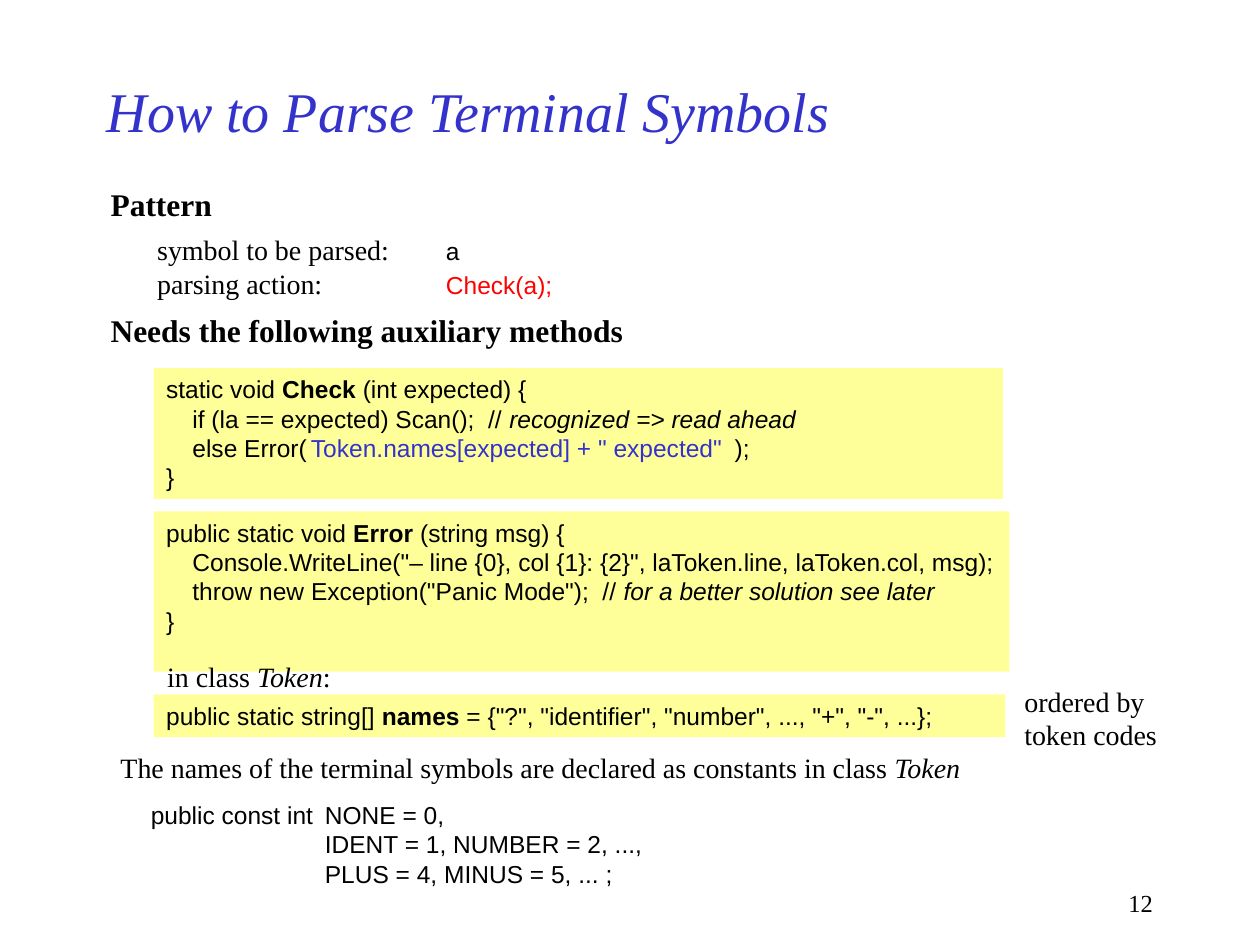
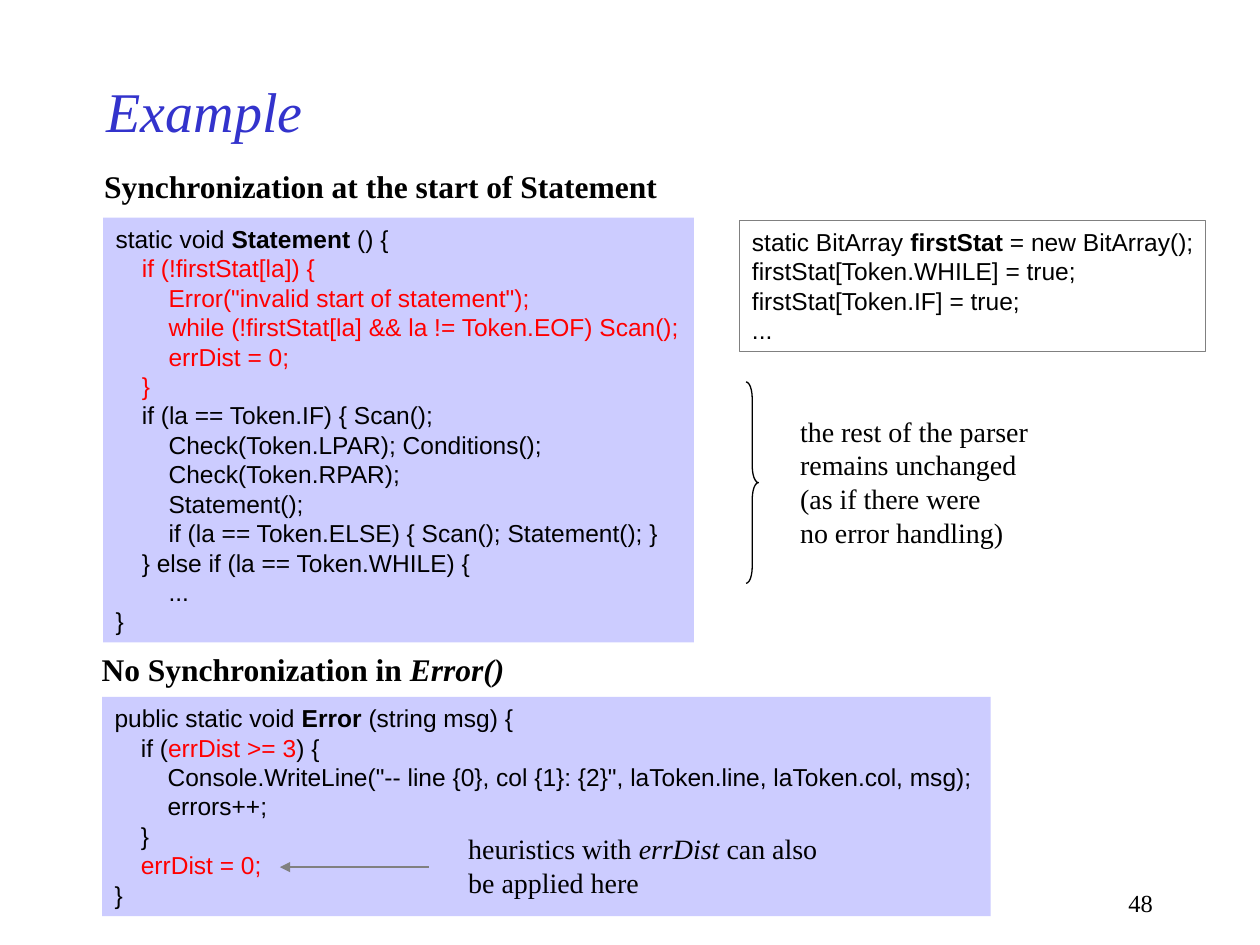
from lxml.etree import SubElement as Sub
from pptx import Presentation
from pptx.dml.color import RGBColor
from pptx.enum.shapes import MSO_CONNECTOR as Link, MSO_SHAPE as Form
from pptx.enum.text import MSO_ANCHOR as Anchor, PP_ALIGN as Align
from pptx.oxml.ns import qn
from pptx.util import Cm, Pt

SERIF, SANS = "Times New Roman", "Arial"
BLACK, BLUE, RED, GRAY = "000000", "3333CC", "FF0000", "808080"
YELLOW, LILAC = "FFFF99", "CCCCFF"
STEPS = (0.53, 1.07)


def paint(target, tone):
    """Give a font, or a fill made solid, its colour."""
    if hasattr(target, "solid"):
        target.solid()
        target = target.fore_color
    else:
        target = target.color
    target.rgb = RGBColor.from_string(tone)


def stops(para, tabs):
    """Set the left tab stops of a paragraph, given in centimetres."""
    if tabs:
        group = Sub(para._p.get_or_add_pPr(), qn("a:tabLst"))
        for tab in tabs:
            Sub(group, qn("a:tab"), pos=str(Cm(tab)), algn="l")


def write(shape, lines, size, face=SERIF, tone=BLACK, marks="", tabs=()):
    """Write lines of plain or (text, marks) pieces; marks are b, i, r (red), a (code)."""
    frame = shape.text_frame
    frame.word_wrap = True
    frame.margin_right = 0
    frame.vertical_anchor = Anchor.TOP
    frame.text = "\n".join("" for _ in lines)
    for para, line in zip(frame.paragraphs, lines):
        para.alignment = Align.LEFT
        stops(para, tabs)
        for piece in [line] if isinstance(line, str) else line:
            text, extra = (piece, "") if isinstance(piece, str) else piece
            flags = marks + extra
            run = para.add_run()
            run.text = text
            font = run.font
            font.name, font.size = (SANS, Pt(14)) if "a" in flags else (face, Pt(size))
            font.bold, font.italic = "b" in flags, "i" in flags
            paint(font, RED if "r" in flags else tone)
    return frame


def label(slide, area, lines, size=16, **look):
    """Add a text box and return its frame."""
    shape = slide.shapes.add_textbox(*map(Cm, area))
    return write(shape, lines, size, **look)


def head(slide, left, top, width, line):
    """Add a bold section heading."""
    label(slide, (left, top, width, 1.02), [line], 18, marks="b")


def code(slide, area, lines, fill=None, tabs=STEPS):
    """Add a code panel, filled or else outlined in gray."""
    panel = slide.shapes.add_shape(Form.RECTANGLE, *map(Cm, area))
    panel.shadow.inherit = False
    if fill:
        paint(panel.fill, fill)
        panel.line.fill.background()
    else:
        panel.fill.background()
        paint(panel.line.fill, GRAY)
        panel.line.width = Pt(0.75)
    write(panel, lines, 14, SANS, tabs=tabs)


def brace(slide, area):
    """Add a thin right brace."""
    shape = slide.shapes.add_shape(Form.RIGHT_BRACE, *map(Cm, area))
    shape.shadow.inherit = False
    shape.adjustments[0] = 1.33
    shape.fill.background()
    paint(shape.line.fill, BLACK)
    shape.line.width = Pt(0.75)


def arrow(slide, *ends):
    """Add a gray arrow from the first point to the second."""
    link = slide.shapes.add_connector(Link.STRAIGHT, *map(Cm, ends))
    paint(link.line.fill, GRAY)
    link.line.width = Pt(0.75)
    Sub(link.line._get_or_add_ln(), qn("a:tailEnd"), type="triangle")
    Sub(link._element.spPr, qn("a:effectLst"))


def start(deck, title, number):
    """Add a blank slide with its title and page number."""
    slide = deck.slides.add_slide(deck.slide_layouts[6])
    frame = label(slide, (1.9, 1.27, 19.05, 1.9), [title], 32, tone=BLUE, marks="i")
    frame.vertical_anchor = Anchor.MIDDLE
    frame = label(slide, (18.21, 17.78, 5.28, 0.84), [number], 14)
    frame.margin_right = Cm(0.25)
    frame.paragraphs[0].alignment = Align.RIGHT
    return slide


def symbols(deck):
    """Build the slide on parsing terminal symbols."""
    slide = start(deck, "How to Parse Terminal Symbols", "12")
    head(slide, 1.98, 3.61, 2.54, "Pattern")
    label(slide, (2.92, 4.57, 9, 1.63), [
        ("symbol to be parsed:\t", ("a", "a")),
        ("parsing action:\t", ("Check(a);", "ar")),
    ], tabs=(5.82,))
    head(slide, 1.98, 6.15, 10.85, "Needs the following auxiliary methods")
    code(slide, (3.1, 7.42, 17.12, 2.64), [
        ("static void ", ("Check", "b"), " (int expected) {"),
        ("\tif (la == expected) Scan();  // ", ("recognized => read ahead", "i")),
        "\telse Error(\t);",
        "}",
    ], YELLOW, (0.53, 11.46))
    label(slide, (6.02, 8.61, 8.86, 0.86), ['Token.names[expected] + " expected"'],
          14, face=SANS, tone=BLUE)
    code(slide, (3.1, 10.31, 17.25, 3.23), [
        ("public static void ", ("Error", "b"), " (string msg) {"),
        '\tConsole.WriteLine("– line {0}, col {1}: {2}", laToken.line, laToken.col, msg);',
        ('\tthrow new Exception("Panic Mode");  // ', ("for a better solution see later", "i")),
        "}",
    ], YELLOW)
    label(slide, (3.12, 13.18, 3.84, 0.94), [("in class ", ("Token", "i"), ":")])
    code(slide, (3.1, 14, 17.17, 0.86), [
        ("public static string[] ", ("names", "b"),
         ' = {"?", "identifier", "number", ..., "+", "-", ...};'),
    ], YELLOW)
    label(slide, (20.4, 13.67, 3.18, 1.63), ["ordered by", "token codes"])
    label(slide, (2.18, 15.01, 17.48, 0.94), [
        ("The names of the terminal symbols are declared as constants in class ",
         ("Token", "i")),
    ])
    label(slide, (2.79, 16, 11, 2.03), [
        "public const int\tNONE = 0,",
        "\t\tIDENT = 1, NUMBER = 2, ...,",
        "\t\tPLUS = 4, MINUS = 5, ... ;",
    ], 14, face=SANS, tabs=(0.53, 3.51))


def example(deck):
    """Build the slide with the synchronization example."""
    slide = start(deck, "Example", "48")
    head(slide, 1.85, 3.25, 11.66, "Synchronization at the start of Statement")
    code(slide, (2.08, 4.39, 11.91, 8.56), [
        ("static void ", ("Statement ", "b"), "() {"),
        [("\tif (!firstStat[la]) {", "r")],
        [('\t\tError("invalid start of statement");', "r")],
        [("\t\twhile (!firstStat[la] && la != Token.EOF) Scan();", "r")],
        [("\t\terrDist = 0;", "r")],
        [("\t}", "r")],
        "\tif (la == Token.IF) { Scan();",
        "\t\tCheck(Token.LPAR); Conditions();",
        "\t\tCheck(Token.RPAR);",
        "\t\tStatement();",
        "\t\tif (la == Token.ELSE) { Scan(); Statement(); }",
        "\t} else if (la == Token.WHILE) {",
        "\t\t...",
        "}",
    ], LILAC)
    code(slide, (14.91, 4.45, 9.4, 2.64), [
        ("static BitArray ", ("firstStat", "b"), " = new BitArray();"),
        "firstStat[Token.WHILE] = true;",
        "firstStat[Token.IF] = true;",
        "...",
    ])
    brace(slide, (15.04, 7.7, 0.25, 4.06))
    label(slide, (15.88, 8.23, 5.11, 2.97), [
        "the rest of the parser", "remains unchanged",
        "(as if there were", "no error handling)",
    ])
    head(slide, 1.8, 12.98, 8.64, ("No Synchronization in ", ("Error()", "i")))
    code(slide, (2.06, 14.05, 17.91, 4.42), [
        ("public static void ", ("Error ", "b"), "(string msg) {"),
        ("\tif (", ("errDist >= 3", "r"), ") {"),
        '\t\tConsole.WriteLine("-- line {0}, col {1}: {2}", laToken.line, laToken.col, msg);',
        "\t\terrors++;",
        "\t}",
        [("\terrDist = 0;", "r")],
        "}",
    ], LILAC)
    label(slide, (9.19, 16.64, 7.54, 1.63), [
        ("heuristics with ", ("errDist", "i"), " can also"),
        "be applied here",
    ])
    arrow(slide, 8.64, 17.48, 5.64, 17.48)


def main():
    """Build and save the deck."""
    deck = Presentation()
    deck.slide_width, deck.slide_height = Cm(25.4), Cm(19.05)
    symbols(deck)
    example(deck)
    deck.save("out.pptx")


if __name__ == "__main__":
    main()
